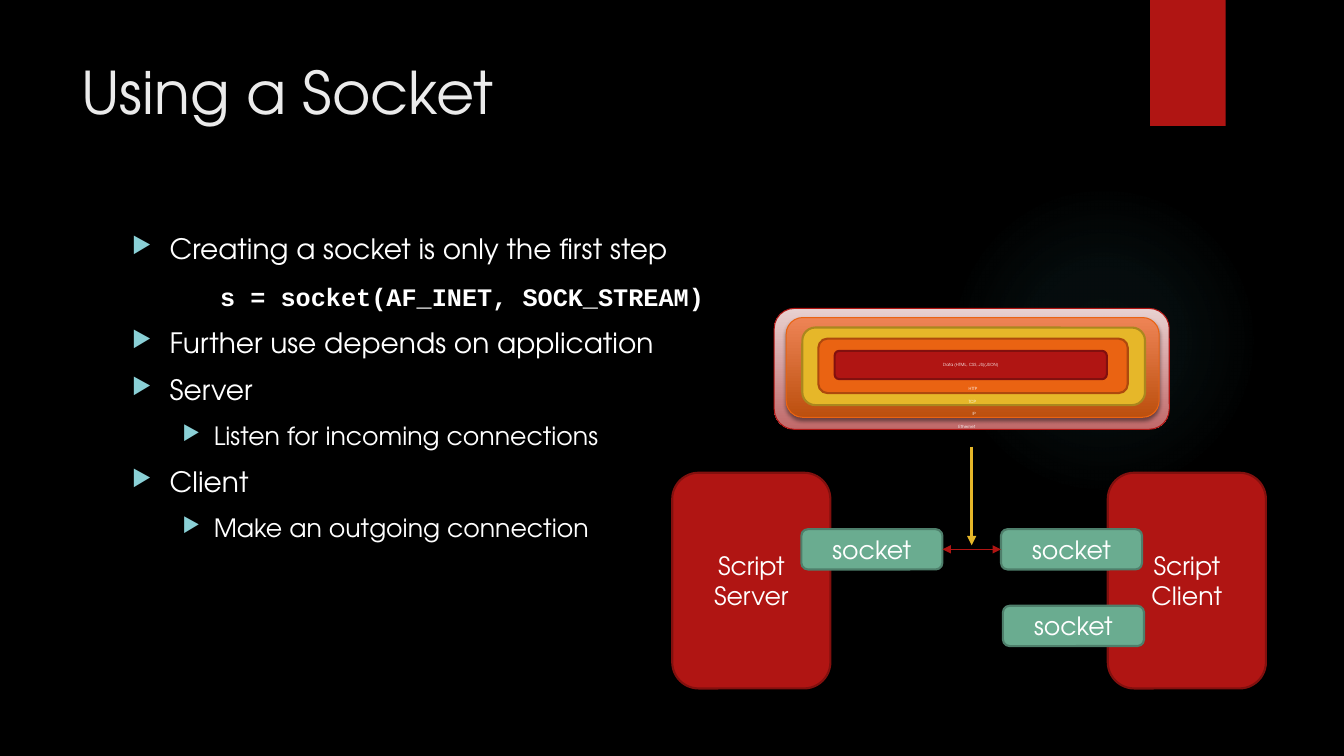
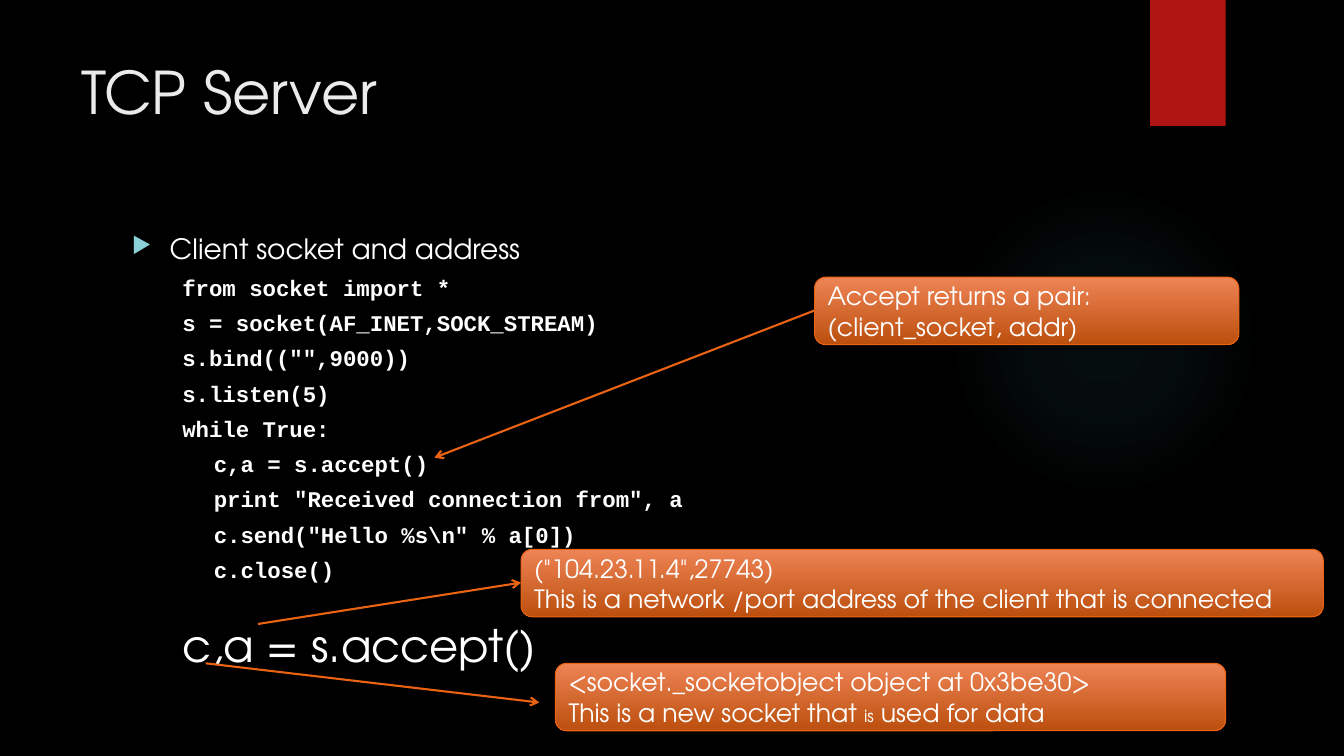
from lxml.etree import SubElement
from pptx import Presentation
from pptx.dml.color import RGBColor
from pptx.enum.shapes import MSO_CONNECTOR, MSO_SHAPE
from pptx.enum.text import MSO_ANCHOR, PP_ALIGN
from pptx.oxml import parse_xml
from pptx.oxml.ns import nsdecls, qn
from pptx.util import Pt

BLACK = RGBColor(0x00, 0x00, 0x00)
WHITE = RGBColor(0xFF, 0xFF, 0xFF)
TITLE = RGBColor(0xEB, 0xEB, 0xEB)
RED = RGBColor(0xB0, 0x15, 0x13)
DARK_RED = RGBColor(0x82, 0x10, 0x0E)
GREEN = RGBColor(0x6A, 0xAC, 0x90)
DARK_GREEN = RGBColor(0x4E, 0x7F, 0x6B)
GOLD = RGBColor(0xE6, 0xB7, 0x29)
DARK_GOLD = RGBColor(0xAA, 0x87, 0x1E)
ORANGE = RGBColor(0xEA, 0x63, 0x12)
DARK_ORANGE = RGBColor(0xAD, 0x49, 0x0D)
ORANGE_FADE = (RGBColor(0xEE, 0x84, 0x55), RGBColor(0xBC, 0x4F, 0x0E))
PINK_FADE = (RGBColor(0xE8, 0xD1, 0xD0), RGBColor(0xC0, 0x69, 0x69))
BULLET = RGBColor(0x8A, 0xD0, 0xD6)
GLOW = RGBColor(0x50, 0xB9, 0xC1)
GLOW_STOPS = [(0, 7), (36, 6), (69, 0)]

SANS, MONO = "TeX Gyre Adventor", "Courier New"

STYLES = {
    "point": dict(size=20, left=27, hang=27, bullet=True),
    "sub": dict(size=18, left=58.5, hang=22.5, bullet=True),
    "call": dict(size=18, left=63, font=MONO, spacing=1.05),
    "code": dict(size=16, left=36, font=MONO, spacing=0.79),
    "block": dict(size=16, left=58.5, font=MONO, spacing=0.79),
    "big": dict(size=32, left=36, spacing=0.75, before=34.4),
}

SOCKET_BODY = [
    ("point", "Creating a socket is only the first step"),
    ("call", "s = socket(AF_INET, SOCK_STREAM)"),
    ("point", "Further use depends on application"),
    ("point", "Server"),
    ("sub", "Listen for incoming connections"),
    ("point", "Client"),
    ("sub", "Make an outgoing connection"),
]
HOSTS = [(480.2, "Server"), (791.3, "Client")]
SOCKETS = [(572.4, 378), (715, 378), (716.4, 432.7)]
LAYERS = [
    (553, 220.3, 282.2, 86.4, PINK_FADE, RED, 0.75),
    (561.6, 226.8, 266.4, 71.3, ORANGE_FADE, ORANGE, 0.75),
    (573.1, 234, 244.8, 55.4, GOLD, DARK_GOLD, 1.5),
    (584.6, 241.9, 221, 38.9, ORANGE, DARK_ORANGE, 1.5),
    (596.2, 250.6, 194.4, 20.2, RED, DARK_RED, 1.5),
]
DATA_LABEL = "Data (HTML, CSS, JS)(JSON)"
LAYER_LABELS = [(684.7, "HTTP"), (684.7, "TCP"), (687.6, "IP"), (677.5, "Ethernet")]
LABEL_TOP, LABEL_STEP = 272.2, 9.1

SERVER_BODY = [
    ("point", "Client socket and address"),
    ("code", "from socket import *"),
    ("code", "s = socket(AF_INET,SOCK_STREAM)"),
    ("code", 's.bind(("",9000))'),
    ("code", "s.listen(5)"),
    ("code", "while True:"),
    ("block", "c,a = s.accept()"),
    ("block", 'print "Received connection from", a'),
    ("block", 'c.send("Hello %s\\n" % a[0])'),
    ("block", "c.close()"),
    ("big", "c,a = s.accept()"),
]
CALLOUTS = [
    (581.8, 198, 303.1, [[("Accept returns a pair:", 18)],
                         [("(client_socket, addr)", 18)]]),
    (396.7, 473.8, 478.8, [[("<socket._socketobject object at 0x3be30>", 18)],
                           [("This is a new socket that ", 18), ("is", 12),
                            (" used for data", 18)]]),
    (372.2, 392.4, 573.1, [[('("104.23.11.4",27743)', 18)],
                           [("This is a network /port address of the client"
                             " that is connected", 18)]]),
]
CALLOUT_ARROWS = [
    (581.8, 221.8, 310.3, 326.9),
    (146.9, 473.8, 385.2, 501.8),
    (184.3, 445.7, 372.2, 416.2),
]


def add_run(p, text, size, color=WHITE, font=SANS, bold=False):
    r = p.add_run()
    r.text = text
    r.font.color.rgb = color
    for name, value in dict(size=Pt(size), name=font, bold=bold).items():
        setattr(r.font, name, value)


def fill_text(tf, lines, align=PP_ALIGN.LEFT, anchor=MSO_ANCHOR.TOP):
    tf.word_wrap = True
    tf.vertical_anchor = anchor
    for i, runs in enumerate(lines):
        p = tf.add_paragraph() if i else tf.paragraphs[0]
        p.alignment = align
        for text, size, *color in runs:
            add_run(p, text, size, *color)


def add_text(shapes, x, y, w, h, lines):
    tb = shapes.add_textbox(Pt(x), Pt(y), Pt(w), Pt(h))
    fill_text(tb.text_frame, lines)


def add_shadow(sp):
    effects = sp._element.spPr.find(qn("a:effectLst"))
    effects.append(parse_xml(
        f'<a:outerShdw {nsdecls("a")} blurRad="{Pt(3)}" dist="{Pt(2)}" dir="5400000">'
        f'<a:srgbClr val="{BLACK}"><a:alpha val="45000"/></a:srgbClr></a:outerShdw>'))


def add_box(shapes, x, y, w, h, fill, line=None, width=0.75, lines=(),
            align=PP_ALIGN.CENTER, kind=MSO_SHAPE.ROUNDED_RECTANGLE):
    sp = shapes.add_shape(kind, Pt(x), Pt(y), Pt(w), Pt(h))
    sp.shadow.inherit = False
    if isinstance(fill, RGBColor):
        sp.fill.solid()
        sp.fill.fore_color.rgb = fill
    else:
        sp.fill.gradient()
        sp.fill.gradient_angle = 270
        for stop, color in zip(sp.fill.gradient_stops, fill):
            stop.color.rgb = color
    if line is None:
        sp.line.fill.background()
    else:
        sp.line.color.rgb = line
        sp.line.width = Pt(width)
    if fill is ORANGE_FADE or line is None:
        add_shadow(sp)
    if lines:
        fill_text(sp.text_frame, lines, align, MSO_ANCHOR.MIDDLE)
    return sp


def add_arrow(shapes, x1, y1, x2, y2, color, width, **ends):
    cn = shapes.add_connector(MSO_CONNECTOR.STRAIGHT, Pt(x1), Pt(y1), Pt(x2), Pt(y2))
    cn.line.color.rgb = color
    cn.line.width = Pt(width)
    spPr = cn._element.spPr
    for end, kind in ends.items():
        SubElement(spPr.find(qn("a:ln")), qn(f"a:{end}"), type=kind)
    SubElement(spPr, qn("a:effectLst"))


def add_glow(shapes):
    sp = shapes.add_shape(MSO_SHAPE.OVAL, Pt(677.5), Pt(131.8), Pt(221.8), Pt(221.8))
    sp.shadow.inherit = False
    sp.line.fill.background()
    stops = "".join(
        f'<a:gs pos="{pos * 1000}"><a:srgbClr val="{GLOW}">'
        f'<a:alpha val="{alpha * 1000}"/></a:srgbClr></a:gs>'
        for pos, alpha in GLOW_STOPS)
    sp._element.spPr.find(qn("a:prstGeom")).addnext(parse_xml(
        f'<a:gradFill {nsdecls("a")}><a:gsLst>{stops}</a:gsLst><a:path path="circle">'
        '<a:fillToRect l="50000" t="50000" r="50000" b="50000"/></a:path></a:gradFill>'))


def add_body(shapes, items):
    tf = shapes.add_textbox(Pt(87.1), Pt(162), Pt(704.2), Pt(330.5)).text_frame
    tf.word_wrap = True
    for i, (style, text) in enumerate(items):
        st = STYLES[style]
        font = st.get("font", SANS)
        p = tf.add_paragraph() if i else tf.paragraphs[0]
        p.space_before = Pt(st.get("before", 10))
        p.line_spacing = st.get("spacing", 1.0)
        pPr = p._p.get_or_add_pPr()
        pPr.set("marL", str(Pt(st["left"])))
        pPr.set("indent", str(-Pt(st.get("hang", 0))))
        if st.get("bullet"):
            SubElement(SubElement(pPr, qn("a:buClr")), qn("a:srgbClr"), val=str(BULLET))
            SubElement(pPr, qn("a:buSzPct"), val="80000")
            SubElement(pPr, qn("a:buChar"), char="▶")
        add_run(p, text, st["size"], font=font, bold=font == MONO)


def add_slide(prs, title, body):
    s = prs.slides.add_slide(prs.slide_layouts[6])
    s.background.fill.solid()
    s.background.fill.fore_color.rgb = BLACK
    add_glow(s.shapes)
    add_box(s.shapes, 821.5, 0, 54, 90, RED, kind=MSO_SHAPE.RECTANGLE)
    add_text(s.shapes, 51.1, 36, 740.9, 110.2, [[(title, 42, TITLE)]])
    add_body(s.shapes, body)
    return s.shapes


def add_packet(shapes):
    for *rect, fill, line, width in LAYERS:
        lines = [[(DATA_LABEL, 3)]] if rect == list(LAYERS[-1][:4]) else ()
        add_box(shapes, *rect, fill, line, width, lines)
    for i, (x, label) in enumerate(LAYER_LABELS):
        add_text(shapes, x, LABEL_TOP + i * LABEL_STEP, 38, 13, [[(label, 3)]])


def build_socket_slide(prs):
    shapes = add_slide(prs, "Using a Socket", SOCKET_BODY)
    for x, role in HOSTS:
        add_box(shapes, x, 337.7, 113, 154.1, RED, DARK_RED, 1.5,
                [[("Script", 18)], [(role, 18)]])
    for x, y in SOCKETS:
        add_box(shapes, x, y, 100.8, 28.8, GREEN, DARK_GREEN, 1.5, [[("socket", 18)]])
    add_arrow(shapes, 673.2, 392.4, 715, 392.4, RED, 0.75,
              headEnd="triangle", tailEnd="triangle")
    add_packet(shapes.add_group_shape().shapes)
    add_arrow(shapes, 694.1, 319, 694.1, 389.5, GOLD, 2.25, tailEnd="triangle")


def build_server_slide(prs):
    shapes = add_slide(prs, "TCP Server", SERVER_BODY)
    for x, y, w, lines in CALLOUTS:
        add_box(shapes, x, y, w, 48.2, ORANGE_FADE, ORANGE, 0.75, lines, PP_ALIGN.LEFT)
    for ends in CALLOUT_ARROWS:
        add_arrow(shapes, *ends, ORANGE, 1.5, tailEnd="arrow")


def main():
    prs = Presentation()
    prs.slide_width, prs.slide_height = Pt(960), Pt(540)
    build_socket_slide(prs)
    build_server_slide(prs)
    prs.save("out.pptx")


if __name__ == "__main__":
    main()
